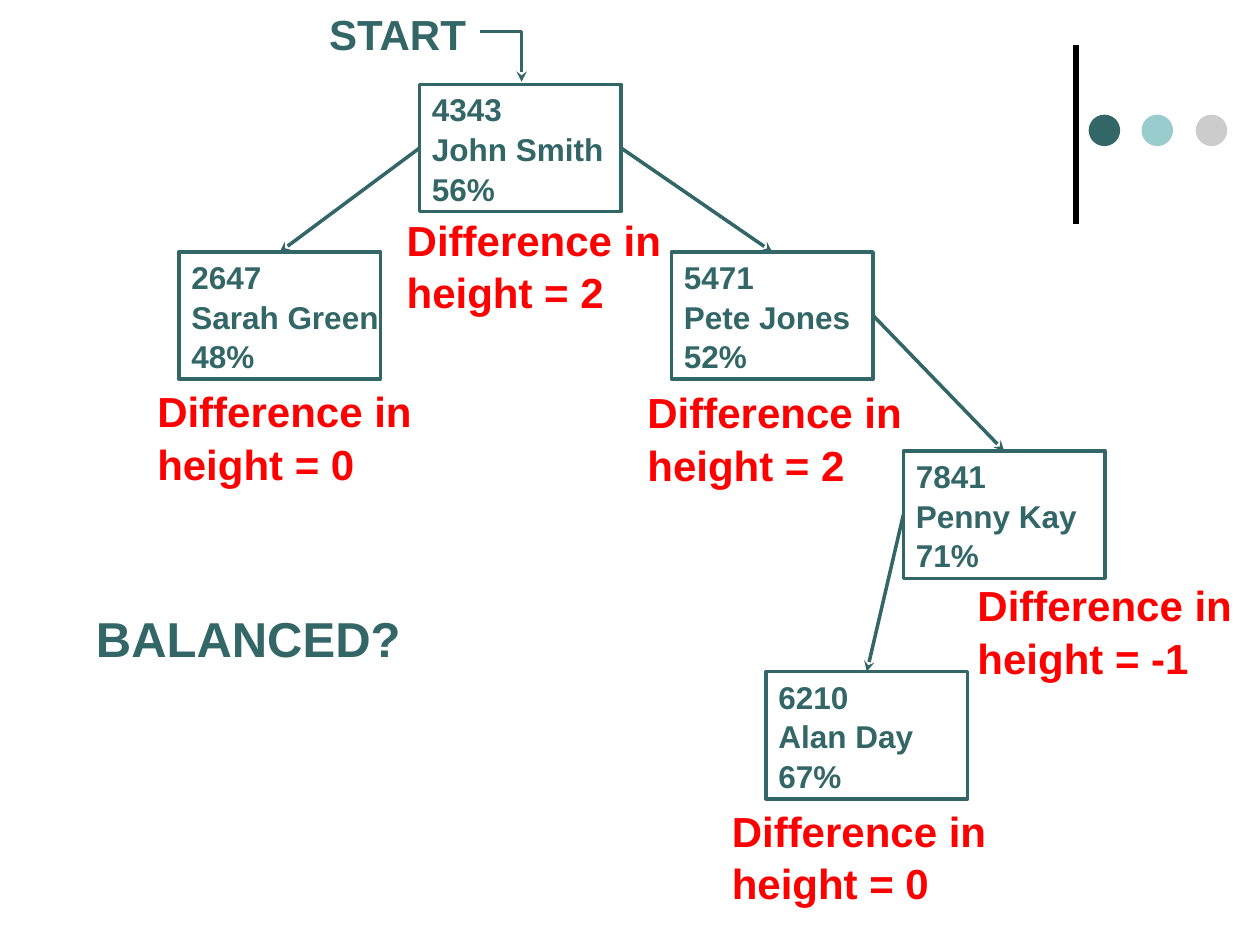
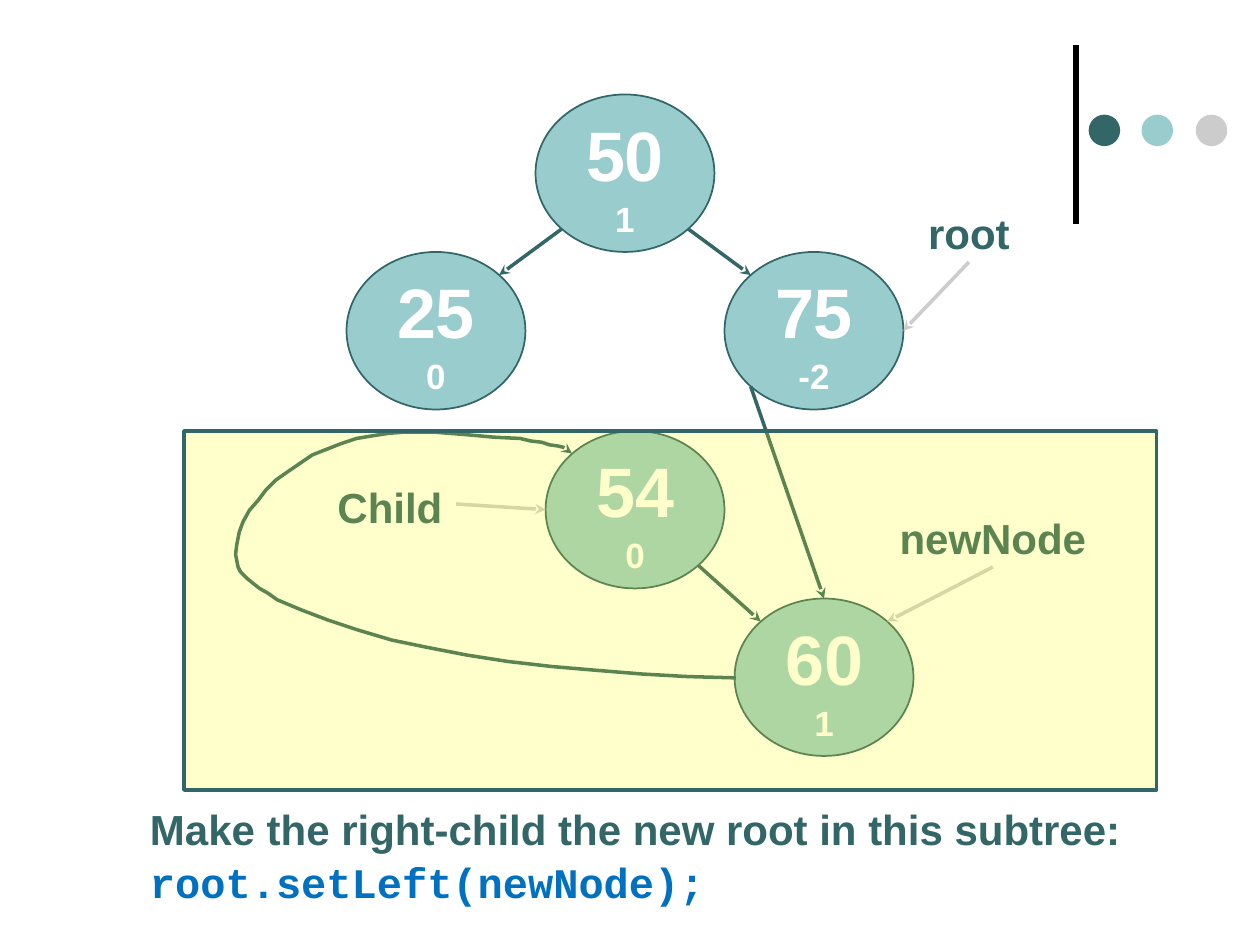
from dataclasses import dataclass
from math import cos, radians, sin

from lxml.etree import SubElement
from pptx import Presentation
from pptx.dml.color import RGBColor as Rgb
from pptx.enum.shapes import MSO_CONNECTOR as Conn, MSO_SHAPE as Kind
from pptx.enum.text import MSO_ANCHOR as Anchor, MSO_AUTO_SIZE as Fit, PP_ALIGN as Align
from pptx.oxml.ns import qn
from pptx.util import Inches, Pt


@dataclass(frozen=True)
class Theme:
    teal: str = "336666"
    aqua: str = "99CCCC"
    gray: str = "CCCCCC"
    black: str = "000000"
    white: str = "FFFFFF"
    red: str = "FF0000"
    blue: str = "0070C0"
    yellow: str = "FFFF00"
    sans: str = "Arial"
    mono: str = "Courier New"
    key: int = 40
    head: int = 28
    label: int = 24
    small: int = 20
    entry: int = 18
    thin: int = 1
    thick: int = 2
    rule: int = 3
    leading: float = 1.05


T = Theme()
BOX = (1.6, 1.01)
OVAL = (1.42, 1.25)
LOOP = [
    (5.84, 5.38), (5.46, 5.37), (5.1, 5.35), (4.73, 5.32), (4.38, 5.29),
    (4.03, 5.25), (3.71, 5.2), (3.4, 5.14), (3.11, 5.08), (2.84, 5),
    (2.6, 4.92), (2.39, 4.84), (2.2, 4.76), (2.13, 4.71), (2.06, 4.67),
    (2.01, 4.63), (1.96, 4.59), (1.91, 4.54), (1.89, 4.5), (1.88, 4.45),
    (1.87, 4.4), (1.88, 4.32), (1.9, 4.22), (1.93, 4.14), (1.98, 4.05),
    (2.05, 3.97), (2.11, 3.89), (2.19, 3.81), (2.29, 3.74), (2.48, 3.61),
    (2.71, 3.52), (2.83, 3.48), (2.95, 3.46), (3.08, 3.44), (3.2, 3.43),
    (3.45, 3.43), (3.7, 3.45), (3.92, 3.47), (4.13, 3.48), (4.21, 3.5),
    (4.3, 3.51), (4.36, 3.53), (4.43, 3.54), (4.47, 3.55), (4.51, 3.57),
    (4.53, 3.58), (4.54, 3.6),
]


def write(frame, text, size=T.label, color=T.teal, font=T.sans,
          align=Align.LEFT, anchor=Anchor.TOP, wrap=False):
    frame.word_wrap = wrap
    frame.vertical_anchor = anchor
    for i, part in enumerate(text):
        para = frame.add_paragraph() if i else frame.paragraphs[0]
        para.text = part
        para.alignment = align
        para.line_spacing = T.leading
        for run in para.runs:
            run.font.name = font
            run.font.size = Pt(size)
            run.font.bold = True
            run.font.color.rgb = Rgb.from_string(color)
    return frame


def label(slide, text, at, **style):
    box = slide.shapes.add_textbox(*map(Inches, at))
    frame = write(box.text_frame, text, **style)
    frame.auto_size = Fit.SHAPE_TO_FIT_TEXT
    return frame


def stroke(shape, color, width):
    shape.line.color.rgb = Rgb.from_string(color)
    shape.line.width = Pt(width)


def tip(shape):
    edge = shape.element.spPr.find(qn("a:ln"))
    SubElement(edge, qn("a:tailEnd"), type="stealth")


def form(slide, kind, at, fill=None, line=None, width=T.thick):
    shape = slide.shapes.add_shape(kind, *map(Inches, at))
    shape.shadow.inherit = False
    if fill:
        shape.fill.solid()
        shape.fill.fore_color.rgb = Rgb.from_string(fill)
    else:
        shape.fill.background()
    if line:
        stroke(shape, line, width)
    else:
        shape.line.fill.background()
    return shape


def line(slide, start, end, color=T.teal, width=T.thick, head=True):
    cord = slide.shapes.add_connector(Conn.STRAIGHT, *map(Inches, (*start, *end)))
    stroke(cord, color, width)
    if head:
        tip(cord)
    SubElement(cord.element.spPr, qn("a:effectLst"))
    return cord


def trace(slide, points):
    spots = [(Inches(x), Inches(y)) for x, y in points]
    pen = slide.shapes.build_freeform(*spots[0])
    pen.add_line_segments(spots[1:], close=False)
    shape = pen.convert_to_shape()
    shape.shadow.inherit = False
    shape.fill.background()
    stroke(shape, T.teal, T.thick)
    tip(shape)


def record(slide, left, top, text):
    box = form(slide, Kind.RECTANGLE, (left, top, *BOX), line=T.teal)
    write(box.text_frame, text, size=T.entry, anchor=Anchor.MIDDLE)
    return box


def join(slide, parent, side, child):
    cord = line(slide, (0, 0), (1, 1))
    cord.begin_connect(parent, side)
    cord.end_connect(child, 0)


def node(slide, left, top, key, score):
    oval = form(slide, Kind.OVAL, (left, top, *OVAL), T.aqua, T.teal, T.thin)
    frame = write(oval.text_frame, [f"{key}\n{score}"], size=T.key, color=T.white,
                  align=Align.CENTER, anchor=Anchor.MIDDLE)
    frame.paragraphs[0].runs[-1].font.size = Pt(T.small)


def rim(spot, angle):
    (left, top), (wide, high) = spot, OVAL
    turn = radians(angle)
    return (left + wide / 2 * (1 + cos(turn)), top + high / 2 * (1 - sin(turn)))


def veil(shape, share):
    tint = shape.element.spPr.find(qn("a:solidFill"))[0]
    SubElement(tint, qn("a:alpha"), val=str(share * 1000))


def begin(deck):
    slide = deck.slides.add_slide(deck.slide_layouts[6])
    line(slide, (8.54, 1.78), (8.54, 0.36), T.black, T.rule, head=False)
    for left, color in zip((8.64, 9.06, 9.49), (T.teal, T.aqua, T.gray)):
        form(slide, Kind.OVAL, (left, 0.91, 0.25, 0.25), color)
    return slide


def heights(deck):
    slide = begin(deck)
    people = {
        "John": (3.33, 0.67, ["4343\nJohn Smith", "56%"]),
        "Sarah": (1.42, 2, ["2647\nSarah Green", "48%"]),
        "Pete": (5.33, 2, ["5471\nPete Jones", "52%"]),
        "Penny": (7.17, 3.58, ["7841\nPenny Kay", "71%"]),
        "Alan": (6.08, 5.33, ["6210\nAlan Day", "67%"]),
    }
    boxes = {name: record(slide, *spot) for name, spot in people.items()}
    links = [("John", 1, "Sarah"), ("John", 3, "Pete"),
             ("Pete", 3, "Penny"), ("Penny", 1, "Alan")]
    for parent, side, child in links:
        join(slide, boxes[parent], side, boxes[child])
    trace(slide, [(3.81, 0.25), (4.14, 0.25), (4.14, 0.65)])
    label(slide, ["START"], (2.5, 0, 1.31, 0.5), align=Align.CENTER)
    label(slide, ["BALANCED?"], (0.66, 4.76, 2.62, 0.57), size=T.head,
          align=Align.CENTER)
    notes = [(5.71, 6.32, 0), (7.66, 4.53, -1), (5.04, 3, 2),
             (3.13, 1.63, 2), (1.15, 2.99, 0)]
    for left, top, gap in notes:
        label(slide, ["Difference in", f"height = {gap}"],
              (left, top, 2.24, 0.91), color=T.red)


def rotate(deck):
    slide = begin(deck)
    spots = {50: (4.25, 0.75), 75: (5.75, 2), 25: (2.75, 2),
             54: (4.33, 3.42), 60: (5.83, 4.75)}
    scores = {50: 1, 75: -2, 25: 0, 54: 0, 60: 1}
    for key, spot in spots.items():
        node(slide, *spot, key, scores[key])
    links = [(50, 225, 25, 45), (50, 315, 75, 135),
             (75, 225, 60, 90), (54, 315, 60, 135)]
    for parent, out, child, into in links:
        line(slide, rim(spots[parent], out), rim(spots[child], into))
    names = [
        ("newNode", (7.03, 4, 1.7, 0.51), (7.88, 4.5), 60, 45),
        ("Child", (2.58, 3.75, 1.03, 0.5), (3.62, 4), 54, 180),
        ("root", (7.26, 1.58, 0.86, 0.51), (7.69, 2.08), 75, 0),
    ]
    for text, at, start, key, angle in names:
        label(slide, [text], at, align=Align.CENTER)
        line(slide, start, rim(spots[key], angle), T.gray)
    trace(slide, LOOP)
    frame = label(slide, ["Make the right-child the new root in this subtree:",
                          "root.setLeft(newNode);"],
                  (0.59, 6.31, 8.98, 0.91), wrap=True)
    frame.margin_left = Inches(0.6)
    code = frame.paragraphs[1].runs[0].font
    code.name = T.mono
    code.color.rgb = Rgb.from_string(T.blue)
    veil(form(slide, Kind.RECTANGLE, (1.46, 3.42, 7.72, 2.85), T.yellow, T.teal), 20)


def main():
    deck = Presentation()
    deck.slide_width, deck.slide_height = Inches(10), Inches(7.5)
    heights(deck)
    rotate(deck)
    deck.save("out.pptx")


if __name__ == "__main__":
    main()
